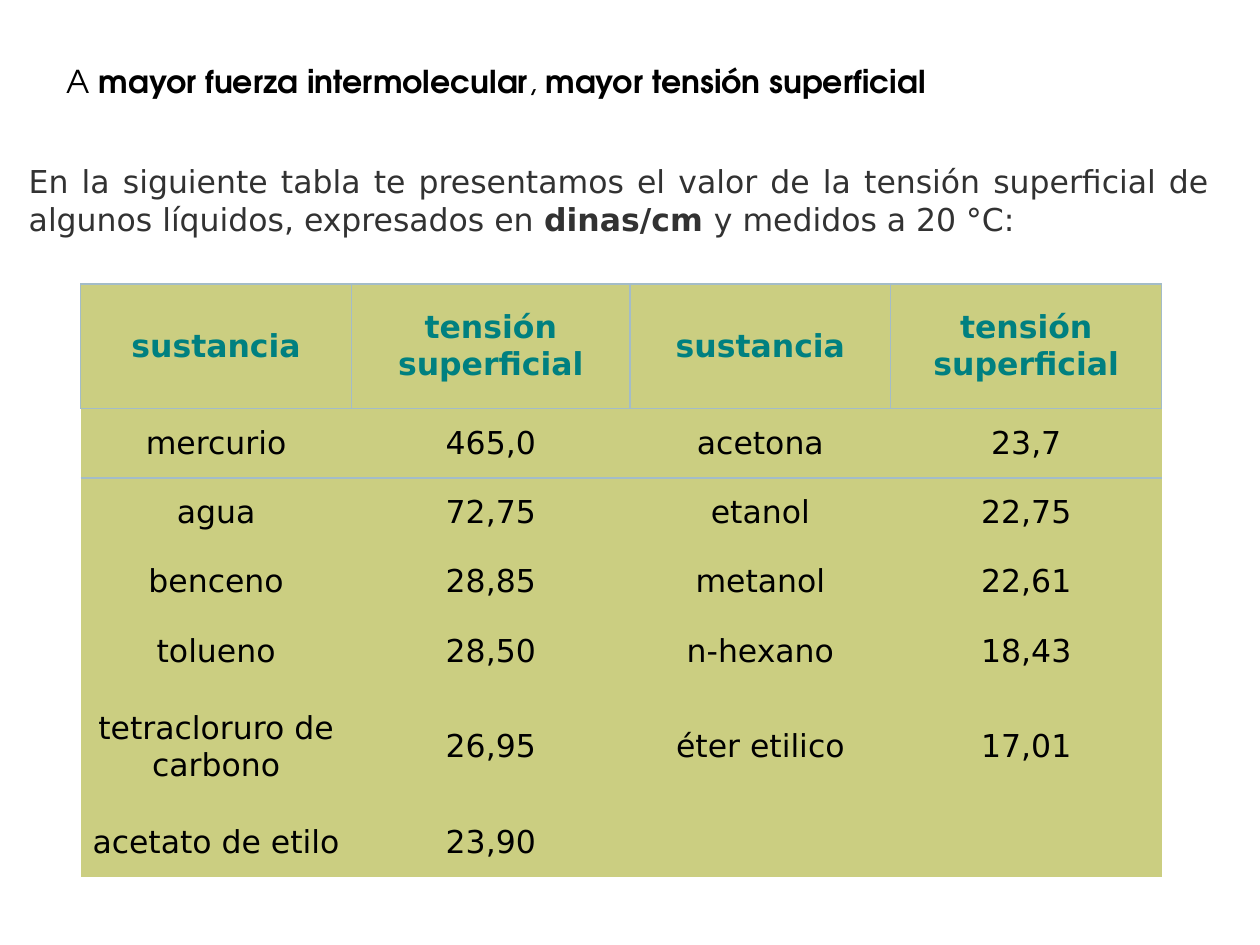
from dataclasses import dataclass

from lxml.etree import SubElement
from pptx import Presentation
from pptx.dml.color import RGBColor
from pptx.enum.shapes import MSO_SHAPE
from pptx.enum.text import MSO_ANCHOR, MSO_AUTO_SIZE, PP_ALIGN
from pptx.oxml.ns import qn
from pptx.util import Inches, Pt

WHITE = RGBColor(0xFF, 0xFF, 0xFF)
BLACK = RGBColor(0x00, 0x00, 0x00)
GRAY = RGBColor(0x32, 0x32, 0x32)
TEAL = RGBColor(0x00, 0x80, 0x80)
OLIVE = RGBColor(0xCB, 0xCE, 0x81)
BORDER = RGBColor(0xA3, 0xBC, 0xC8)

TITLE_FONT = "TeX Gyre Adventor"
BODY_FONT = "DejaVu Sans"
TEXT_SIZE = Pt(18)
NO_TABLE_STYLE = "{2D5ABB26-0587-4C30-8999-92F81FD0307C}"
PAGE_WIDTH, PAGE_HEIGHT = Inches(10), Inches(7.5)

COLUMN_WIDTHS = (2.15, 2.21, 2.07, 2.15)
HEADER_HEIGHT, ROW_HEIGHT, TALL_ROW_HEIGHT = 0.99, 0.55, 0.97
HEADER = ("sustancia", "tensión superficial") * 2
LIQUIDS = (
    ("mercurio", "465,0", "acetona", "23,7"),
    ("agua", "72,75", "etanol", "22,75"),
    ("benceno", "28,85", "metanol", "22,61"),
    ("tolueno", "28,50", "n-hexano", "18,43"),
    ("tetracloruro de carbono", "26,95", "éter etilico", "17,01"),
    ("acetato de etilo", "23,90", "", ""),
)


@dataclass(frozen=True)
class Span:
    text: str
    bold: bool = False


@dataclass(frozen=True)
class Area:
    """A place on the page, in percent of its width and height."""
    left: float
    top: float
    width: float
    height: float

    def lengths(self) -> tuple:
        return (int(self.left * PAGE_WIDTH / 100),
                int(self.top * PAGE_HEIGHT / 100),
                int(self.width * PAGE_WIDTH / 100),
                int(self.height * PAGE_HEIGHT / 100))


SHEET_AREA = Area(1, 1.47, 98, 97.2)
BAND_AREAS = (Area(3, 4, 94, 19.33), Area(4.1, 5.47, 91.7, 16.27))
TITLE_AREA = Area(4.3, 5.87, 88.2, 5.33)
INTRO_AREA = Area(1.3, 16.4, 95.7, 9.47)
TABLE_AREA = Area(6.4, 30.05, 85.8, 62.8)

TITLE = (Span("A "), Span("mayor fuerza intermolecular", True),
         Span(", "), Span("mayor tensión superficial", True))
INTRO = (Span("En la siguiente tabla te presentamos el valor de la tensión "
              "superficial de algunos líquidos, expresados en "),
         Span("dinas/cm ", True), Span("y medidos a 20 °C:"))


def write_spans(frame, spans: tuple, font: str, color: RGBColor,
                alignment: PP_ALIGN) -> None:
    para = frame.paragraphs[0]
    para.alignment = alignment
    for span in spans:
        run = para.add_run()
        run.text = span.text
        run.font.name = font
        run.font.size = TEXT_SIZE
        run.font.bold = span.bold
        run.font.color.rgb = color


def set_frame(box, anchor: MSO_ANCHOR):
    frame = box.text_frame
    frame.word_wrap = True
    frame.auto_size = MSO_AUTO_SIZE.NONE
    frame.vertical_anchor = anchor
    return frame


def add_panel(page, area: Area, preset: MSO_SHAPE = MSO_SHAPE.RECTANGLE):
    panel = page.shapes.add_shape(preset, *area.lengths())
    panel.shadow.inherit = False
    panel.fill.solid()
    panel.fill.fore_color.rgb = WHITE
    panel.line.fill.background()
    return panel


def add_borders(cell, sides: str) -> None:
    properties = cell._tc.get_or_add_tcPr()
    for side in sides:
        line = SubElement(properties, qn(f"a:ln{side}"), w=str(Pt(0.75)))
        fill = SubElement(line, qn("a:solidFill"))
        SubElement(fill, qn("a:srgbClr"), val=str(BORDER))


def format_cell(cell, text: str, row: int) -> None:
    is_header = row == 0
    add_borders(cell, "LRTB" if is_header else "T" if row == 1 else "")
    cell.fill.solid()
    cell.fill.fore_color.rgb = OLIVE
    cell.vertical_anchor = MSO_ANCHOR.MIDDLE
    cell.margin_left = cell.margin_right = Inches(0.05)
    cell.margin_top = cell.margin_bottom = Inches(0.06 if is_header else 0.05)
    if text:
        write_spans(cell.text_frame, (Span(text, is_header),), BODY_FONT,
                    TEAL if is_header else BLACK, PP_ALIGN.CENTER)


def add_tension_table(page) -> None:
    rows = (HEADER, *LIQUIDS)
    table = page.shapes.add_table(
        len(rows), len(HEADER), *TABLE_AREA.lengths()).table
    table.horz_banding = False
    table._tbl.tblPr.find(qn("a:tableStyleId")).text = NO_TABLE_STYLE
    for column, width in zip(table.columns, COLUMN_WIDTHS):
        column.width = Inches(width)
    for index, texts in enumerate(rows):
        height = HEADER_HEIGHT if index == 0 else ROW_HEIGHT
        if texts[0] == "tetracloruro de carbono":  # wraps onto two lines
            height = TALL_ROW_HEIGHT
        table.rows[index].height = Inches(height)
        for column, text in enumerate(texts):
            format_cell(table.cell(index, column), text, index)


def main() -> None:
    deck = Presentation()
    deck.slide_width, deck.slide_height = PAGE_WIDTH, PAGE_HEIGHT
    page = deck.slides.add_slide(deck.slide_layouts[5])  # title only

    # White sheet and title bands
    sheet = add_panel(page, SHEET_AREA, MSO_SHAPE.ROUNDED_RECTANGLE)
    sheet.adjustments[0] = 0.02
    for area in BAND_AREAS:
        add_panel(page, area)

    # Table of surface tensions
    add_tension_table(page)

    # Title, brought in front of the bands
    title = page.shapes.title
    title.left, title.top, title.width, title.height = TITLE_AREA.lengths()
    page.shapes._spTree.append(title._element)
    write_spans(set_frame(title, MSO_ANCHOR.TOP), TITLE, TITLE_FONT, BLACK,
                PP_ALIGN.LEFT)

    # Introduction to the table
    intro = add_panel(page, INTRO_AREA)
    write_spans(set_frame(intro, MSO_ANCHOR.MIDDLE), INTRO, BODY_FONT, GRAY,
                PP_ALIGN.JUSTIFY)

    deck.save("out.pptx")


if __name__ == "__main__":
    main()
